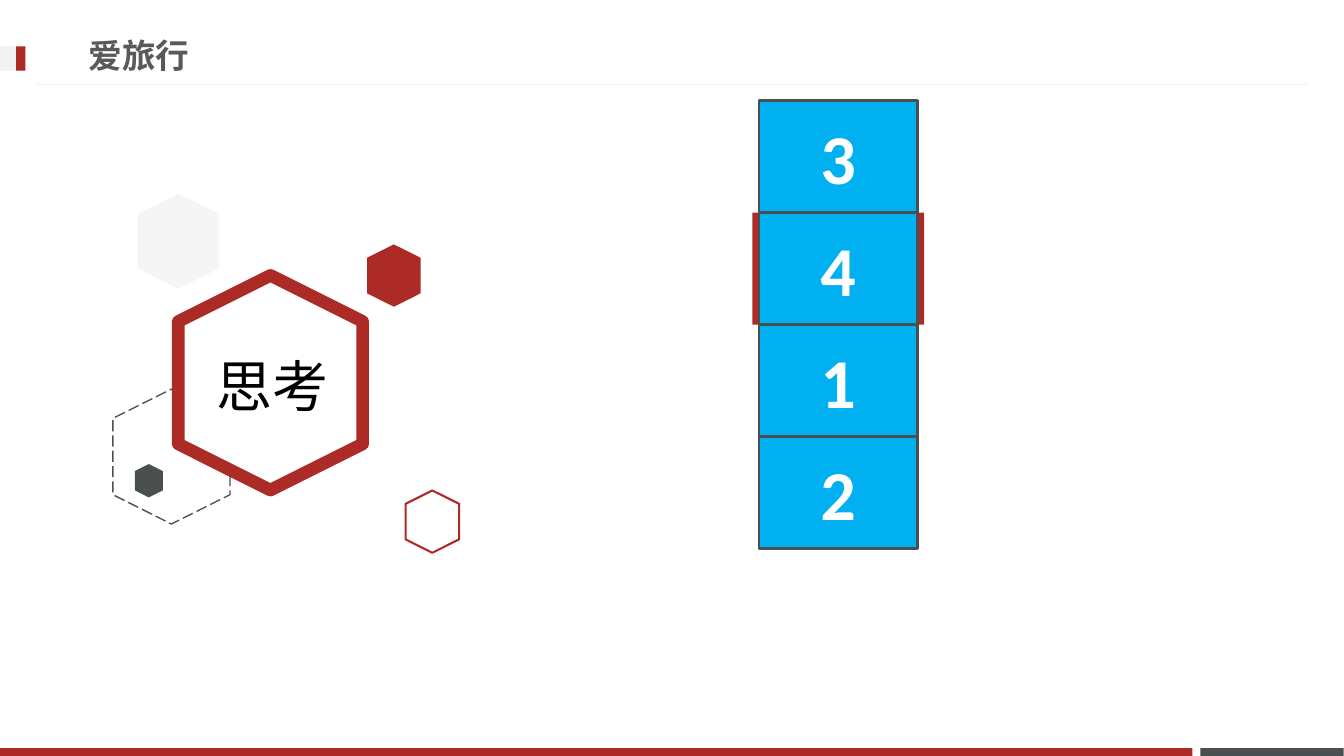
from dataclasses import dataclass
from typing import Optional

from lxml import etree
from pptx import Presentation
from pptx.dml.color import RGBColor
from pptx.enum.dml import MSO_LINE_DASH_STYLE as Dash
from pptx.enum.shapes import MSO_CONNECTOR as Connector
from pptx.enum.shapes import MSO_SHAPE as Preset
from pptx.enum.text import MSO_ANCHOR as Anchor
from pptx.enum.text import PP_ALIGN as Align
from pptx.oxml.ns import qn
from pptx.util import Cm, Pt

COLORS = {
    "red": "AD2B26",
    "slate": "49504F",
    "dash": "515151",
    "pale": "F2F2F2",
    "blue": "00B0F0",
    "title": "595959",
    "white": "FFFFFF",
    "black": "000000",
}
CJK_FONT = "Noto Sans CJK JP"


@dataclass
class Box:
    """A preset shape; lengths in cm, line width in points, alpha in percent."""
    left: float
    top: float
    width: float
    height: float
    fill: Optional[str] = None
    line: Optional[str] = None
    line_width: float = 1
    dash: Optional[Dash] = None
    alpha: Optional[int] = None


FRAME_BARS = [
    Box(30.25, 18.85, 3.61, 0.2, "slate"),
    Box(0, 18.85, 30.05, 0.2, "red"),
    Box(0, 1.17, 0.64, 0.61, "pale"),
    Box(0.41, 1.17, 0.23, 0.61, "red"),
]
DASHED_HEXAGON = Box(2.62, 10.03, 3.4, 2.95, line="dash", dash=Dash.LONG_DASH)
MAIN_HEXAGON = Box(4.11, 7.32, 5.41, 4.65, "white", "red", 9)
SMALL_HEXAGONS = [
    Box(9.14, 6.27, 1.57, 1.35, "red"),
    Box(3.33, 11.76, 0.84, 0.71, "slate"),
    Box(10.11, 12.47, 1.57, 1.35, line="red", line_width=1.5),
    Box(3.3, 5.05, 2.39, 2.06, "pale", alpha=70),
]
REEL_DIGITS = ["3", "4", "1", "2"]
REEL_LEFT, REEL_TOP = 19.13, 2.54
CELL_WIDTH, CELL_HEIGHT = 3.99, 2.82
MARKER_OVERHANG = 0.17
MARKED_ROW = 1


def rgb(name: str) -> RGBColor:
    return RGBColor.from_string(COLORS[name])


def draw(slide, box: Box, preset=Preset.RECTANGLE, rotation: float = 0):
    shape = slide.shapes.add_shape(
        preset, Cm(box.left), Cm(box.top), Cm(box.width), Cm(box.height))
    shape.rotation = rotation
    shape.shadow.inherit = False
    if box.fill:
        shape.fill.solid()
        shape.fill.fore_color.rgb = rgb(box.fill)
    else:
        shape.fill.background()
    if box.alpha is not None:
        color = shape.fill._xPr.find(".//" + qn("a:srgbClr"))
        etree.SubElement(color, qn("a:alpha")).set("val", str(box.alpha * 1000))
    if box.line:
        shape.line.color.rgb = rgb(box.line)
        shape.line.width = Pt(box.line_width)
        if box.dash:
            shape.line.dash_style = box.dash
    else:
        shape.line.fill.background()
    return shape


def write(shape, text: str, size: float, color: str, font: str,
          bold: bool = False, align=Align.CENTER) -> None:
    frame = shape.text_frame
    frame.text = text
    frame.word_wrap = True
    frame.vertical_anchor = Anchor.MIDDLE
    paragraph = frame.paragraphs[0]
    paragraph.alignment = align
    run = paragraph.runs[0]
    run.font.size = Pt(size)
    run.font.bold = bold
    run.font.name = font
    run.font.color.rgb = rgb(color)
    east_asian = etree.SubElement(run.font._element, qn("a:ea"))
    east_asian.set("typeface", CJK_FONT)


def draw_frame(slide) -> None:
    for bar in FRAME_BARS:
        draw(slide, bar)
    rule = slide.shapes.add_connector(
        Connector.STRAIGHT, Cm(32.97), Cm(2.13), Cm(0.89), Cm(2.13))
    rule.line.color.rgb = rgb("pale")
    rule.line.width = Pt(0.75)
    etree.SubElement(rule._element.spPr, qn("a:effectLst"))


def draw_thinking(slide) -> None:
    for hexagon in [DASHED_HEXAGON, MAIN_HEXAGON]:
        draw(slide, hexagon, Preset.HEXAGON, 90)
    label = slide.shapes.add_textbox(Cm(4.7), Cm(8.31), Cm(4.34), Cm(3))
    write(label, "思考", 40, "black", CJK_FONT)
    label.text_frame.paragraphs[0].line_spacing = 0.9
    for hexagon in SMALL_HEXAGONS:
        draw(slide, hexagon, Preset.HEXAGON, 90)


def draw_reel(slide) -> None:
    """Stack the digit cells over the red marker of the chosen row."""
    draw(slide, Box(REEL_LEFT - MARKER_OVERHANG,
                    REEL_TOP + MARKED_ROW * CELL_HEIGHT,
                    CELL_WIDTH + 2 * MARKER_OVERHANG, CELL_HEIGHT, "red"))
    for row, digit in enumerate(REEL_DIGITS):
        cell = draw(slide, Box(REEL_LEFT, REEL_TOP + row * CELL_HEIGHT,
                               CELL_WIDTH, CELL_HEIGHT, "blue", "slate", 2))
        write(cell, digit, 50, "white", "Calibri", bold=True)


def main() -> None:
    deck = Presentation()
    deck.slide_width, deck.slide_height = Cm(33.87), Cm(19.05)
    slide = deck.slides.add_slide(deck.slide_layouts.get_by_name("Title Only"))
    draw_frame(slide)
    draw_thinking(slide)
    title = slide.shapes.title
    title.left, title.top = Cm(1.98), Cm(0.66)
    title.width, title.height = Cm(24.36), Cm(1.45)
    write(title, "爱旅行", 24, "title", "Arial", bold=True, align=Align.LEFT)
    draw_reel(slide)
    deck.save("out.pptx")


if __name__ == "__main__":
    main()
